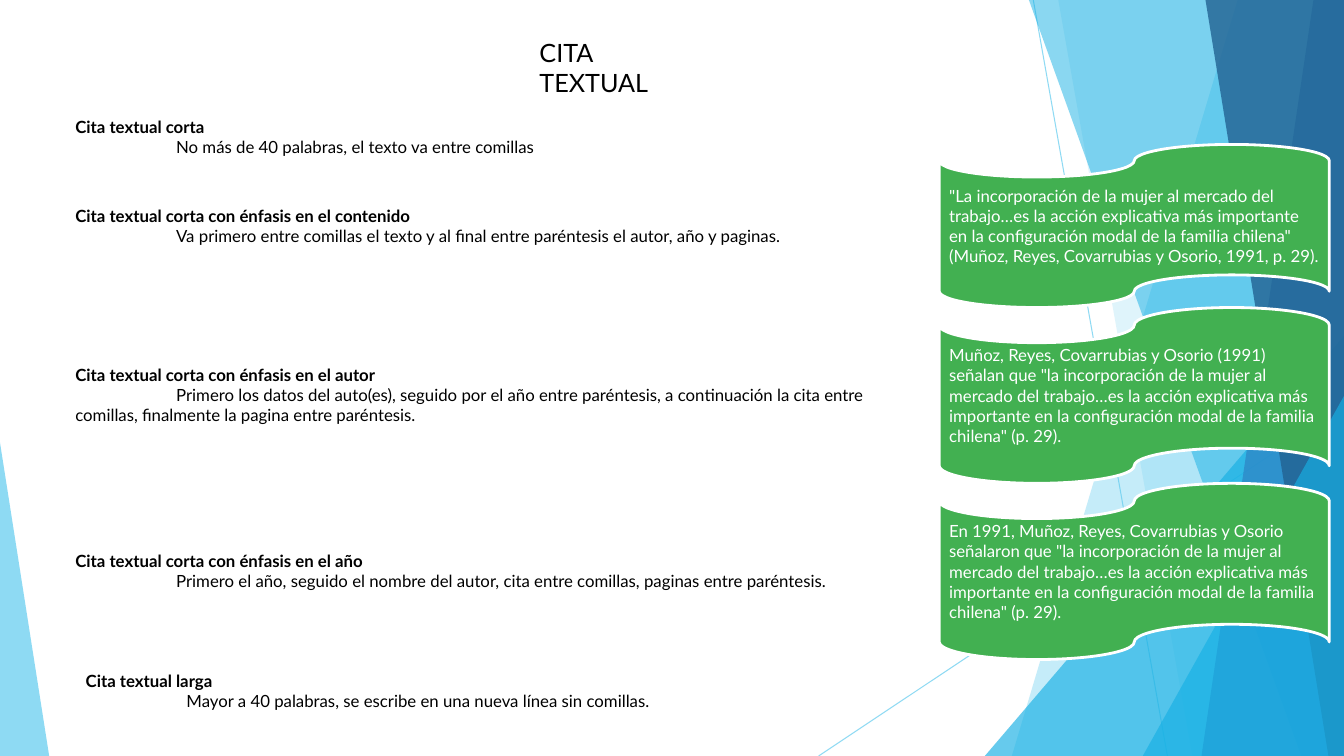
"""Build the slide on short and long textual citations."""
import lxml.etree
import pptx
import pptx.dml.color
import pptx.enum.shapes
import pptx.enum.text
import pptx.oxml.ns
import pptx.util

Cm, Pt, qn = pptx.util.Cm, pptx.util.Pt, pptx.oxml.ns.qn
SHAPES = pptx.enum.shapes.MSO_SHAPE
ANCHOR = pptx.enum.text.MSO_ANCHOR

PAGE_WIDTH, PAGE_HEIGHT = 33.87, 19.05
BLACK, WHITE, GREEN = "000000", "FFFFFF", "42B051"
SKY, CYAN, BLUE, NAVY = "5FCBEF", "17B0E4", "2E83C3", "226292"
TAB_STOP = Cm(2.54)


def paint(fill, colour, owner=None, opacity=100):
    fill.solid()
    fill.fore_color.rgb = pptx.dml.color.RGBColor.from_string(colour)
    if owner is not None:
        for node in owner._element.iter(qn("a:srgbClr")):
            lxml.etree.SubElement(node, qn("a:alpha"), val=str(opacity * 1000))


def write(frame, text, size=12, colour=BLACK, bold_first=False, anchor=ANCHOR.TOP):
    frame.word_wrap = True
    frame.auto_size = pptx.enum.text.MSO_AUTO_SIZE.NONE
    frame.vertical_anchor = anchor
    for index, line in enumerate(text.split("\n")):
        para = frame.add_paragraph() if index else frame.paragraphs[0]
        para.alignment = pptx.enum.text.PP_ALIGN.LEFT
        if line.startswith("\t"):
            stops = lxml.etree.SubElement(para._p.get_or_add_pPr(), qn("a:tabLst"))
            lxml.etree.SubElement(stops, qn("a:tab"), pos=str(TAB_STOP), algn="l")
        span = para.add_run()
        span.text = line
        span.font.name = "Lato"
        span.font.size = Pt(size)
        span.font.bold = bold_first and index == 0
        paint(span.font.fill, colour)


deck = pptx.Presentation()
deck.slide_width, deck.slide_height = Cm(PAGE_WIDTH), Cm(PAGE_HEIGHT)
title_only = deck.slide_layouts[5]
page = deck.slides.add_slide(title_only)

rays = [(26.04, 0, 29.42), (PAGE_WIDTH, 10.23, 20.63)]
for start_x, start_y, end_x in rays:
    ray = page.shapes.add_connector(
        pptx.enum.shapes.MSO_CONNECTOR.STRAIGHT,
        Cm(start_x), Cm(start_y), Cm(end_x), Cm(PAGE_HEIGHT))
    ray.line.width = Pt(0.75)
    paint(ray.line.fill, SKY, owner=ray, opacity=70)
    lxml.etree.SubElement(ray._element.spPr, qn("a:effectLst"))

facets = [
    ("band", {"top_x": 31.19, "bottom_x": 25.5}, SKY, 36),
    ("band", {"top_x": 26.67, "bottom_x": 30.05}, SKY, 20),
    ("triangle", {"left": 24.82, "top": 8.46, "width": 9.05, "apex": 1}, CYAN, 66),
    ("band", {"top_x": 25.93, "bottom_x": 32.79}, CYAN, 50),
    ("band", {"top_x": 33.1, "bottom_x": 30.28}, BLUE, 70),
    ("band", {"top_x": 30.38, "bottom_x": 33.48}, NAVY, 80),
    ("triangle", {"left": 28.8, "top": 9.98, "width": 5.07, "apex": 1}, CYAN, 66),
    ("triangle", {"left": 0, "top": 11.15, "width": 1.24, "apex": 0}, SKY, 70),
]
for kind, place, colour, opacity in facets:
    if kind == "band":
        outline = page.shapes.build_freeform(Cm(place["top_x"]), 0)
        outline.add_line_segments([
            (Cm(PAGE_WIDTH), 0),
            (Cm(PAGE_WIDTH), Cm(PAGE_HEIGHT)),
            (Cm(place["bottom_x"]), Cm(PAGE_HEIGHT)),
        ])
        facet = outline.convert_to_shape()
    else:
        facet = page.shapes.add_shape(
            SHAPES.ISOSCELES_TRIANGLE, Cm(place["left"]), Cm(place["top"]),
            Cm(place["width"]), Cm(PAGE_HEIGHT - place["top"]))
        facet.adjustments[0] = place["apex"]
    facet.shadow.inherit = False
    facet.line.fill.background()
    paint(facet.fill, colour, owner=facet, opacity=opacity)

title = page.shapes.title
title.left, title.top, title.width, title.height = Cm(13.34), Cm(0.81), Cm(4.47), Cm(1.03)
write(title.text_frame, "CITA TEXTUAL", size=18)

rule_left, last_rule_left = 1.65, 1.91
rule_width = 22.02
two_lines, three_lines = 1.27, 1.8
citation_rules = [
    (rule_left, 2.82, 12.57, two_lines, "Cita textual corta",
     "No más de 40 palabras, el texto va entre comillas"),
    (rule_left, 5.05, 19.25, two_lines, "Cita textual corta con énfasis en el contenido",
     "Va primero entre comillas el texto y al final entre paréntesis el autor, "
     "año y paginas."),
    (rule_left, 9.07, rule_width, three_lines, "Cita textual corta con énfasis en el autor",
     "Primero los datos del auto(es), seguido por el año entre paréntesis, a continuación "
     "la cita entre comillas, finalmente la pagina entre paréntesis."),
    (rule_left, 13.76, rule_width, two_lines, "Cita textual corta con énfasis en el año",
     "Primero el año, seguido el nombre del autor, cita entre comillas, "
     "paginas entre paréntesis."),
    (last_rule_left, 16.77, rule_width, two_lines, "Cita textual larga",
     "Mayor a 40 palabras, se escribe en una nueva línea sin comillas."),
]
for left, top, width, height, heading, explanation in citation_rules:
    box = page.shapes.add_textbox(Cm(left), Cm(top), Cm(width), Cm(height))
    write(box.text_frame, f"{heading}\n\t{explanation}", bold_first=True)

authors = "Muñoz, Reyes, Covarrubias y Osorio"
quote = ("la incorporación de la mujer al mercado del trabajo…es la acción explicativa "
         "más importante en la configuración modal de la familia chilena")
tape_left, tape_width = 23.67, 9.83
tapes = [
    (3.64, 4.11, f'"{quote.capitalize()}" ({authors}, 1991, p. 29).'),
    (7.75, 4.43, f'{authors} (1991) señalan que "{quote}" (p. 29).'),
    (12.18, 4.44, f'En 1991, {authors} señalaron que "{quote}" (p. 29).'),
]
for top, height, example in tapes:
    tape = page.shapes.add_shape(
        SHAPES.FLOWCHART_PUNCHED_TAPE,
        Cm(tape_left), Cm(top), Cm(tape_width), Cm(height))
    tape.shadow.inherit = False
    tape.line.width = Pt(2)
    paint(tape.fill, GREEN)
    paint(tape.line.fill, WHITE)
    write(tape.text_frame, example, colour=WHITE, anchor=ANCHOR.MIDDLE)

deck.save("out.pptx")
